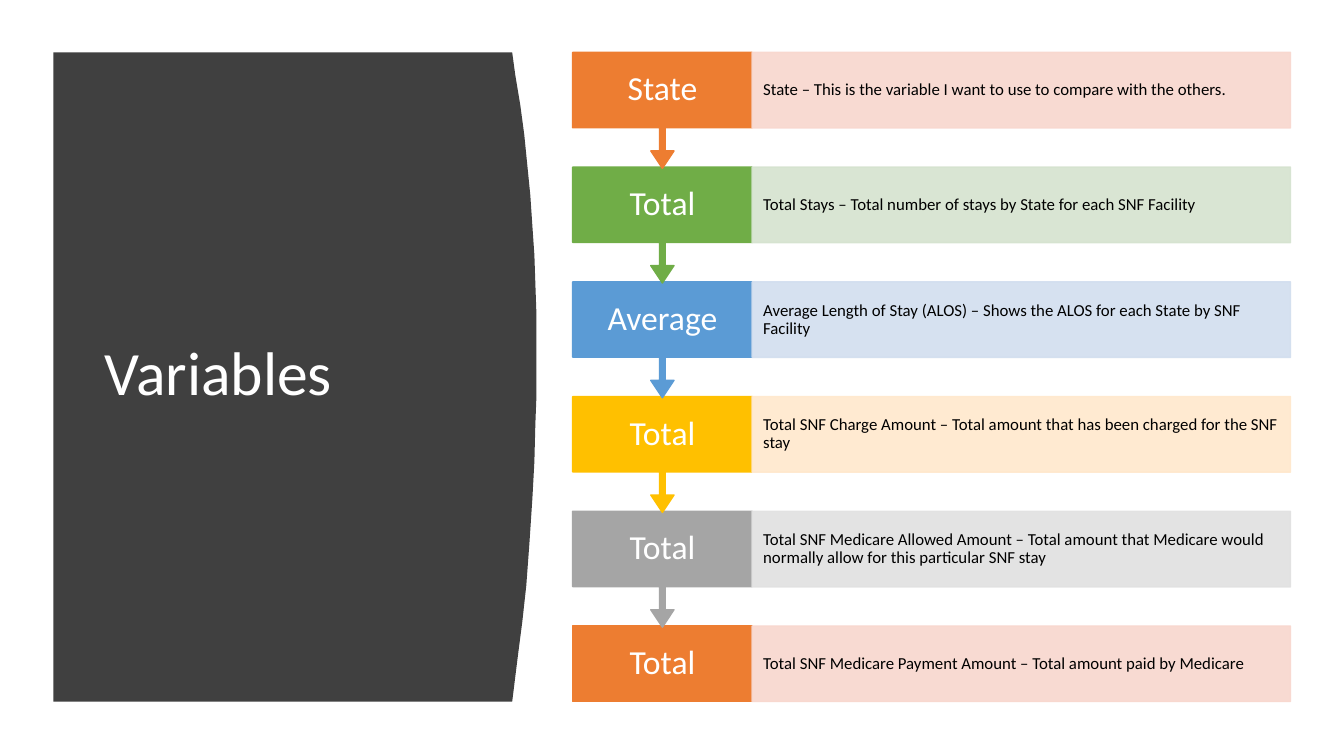
from dataclasses import dataclass

from lxml.etree import SubElement
from pptx import Presentation
from pptx.dml.color import RGBColor
from pptx.enum.shapes import MSO_SHAPE
from pptx.enum.text import MSO_ANCHOR, PP_ALIGN
from pptx.oxml.ns import qn
from pptx.util import Inches, Pt


@dataclass(frozen=True)
class Theme:
    font: str = "Calibri"
    panel: str = "404040"
    light: str = "FFFFFF"
    dark: str = "000000"
    title_size: int = 44
    label_size: int = 24
    description_size: int = 12
    tint_alpha: int = 90000
    orange: tuple = ("ED7D31", "F8D7CE")
    green: tuple = ("70AD47", "D5E3CF")
    blue: tuple = ("5B9BD5", "D2DEEF")
    yellow: tuple = ("FFC000", "FFE8CC")
    gray: tuple = ("A5A5A5", "E1E1E1")


theme = Theme()

TITLE = "Variables"
VARIABLES = [
    ("State", "State – This is the variable I want to use to compare with the others.", theme.orange),
    ("Total", "Total Stays – Total number of stays by State for each SNF Facility", theme.green),
    ("Average", "Average Length of Stay (ALOS) – Shows the ALOS for each State by SNF Facility", theme.blue),
    ("Total", "Total SNF Charge Amount – Total amount that has been charged for the SNF stay", theme.yellow),
    ("Total", "Total SNF Medicare Allowed Amount – Total amount that Medicare would "
     "normally allow for this particular SNF stay", theme.gray),
    ("Total", "Total SNF Medicare Payment Amount – Total amount paid by Medicare", theme.orange),
]

TOP, BOTTOM = 0.52, 6.96
PANEL_LEFT = 0.53
PANEL_EDGE = [
    (5.08, TOP), (5.11, 0.74), (5.16, 1.04), (5.2, 1.34), (5.23, 1.64), (5.26, 1.94),
    (5.28, 2.24), (5.3, 2.53), (5.31, 2.82), (5.32, 3.11), (5.32, 3.53), (5.32, 3.94),
    (5.31, 4.2), (5.3, 4.58), (5.28, 4.95), (5.25, 5.4), (5.22, 5.81), (5.18, 6.17),
    (5.14, 6.48), (5.11, 6.72), (5.08, BOTTOM),
]
LABEL_LEFT, LABEL_WIDTH = 5.68, 1.78
DESCRIPTION_LEFT, DESCRIPTION_WIDTH = LABEL_LEFT + LABEL_WIDTH, 5.34
BOX_HEIGHT, CALLOUT_HEIGHT = 0.75, 1.15
CALLOUT_ADJUSTMENTS = (0.05, 0.1, 0.15, 0.65)
ROW_PITCH = (BOTTOM - TOP - BOX_HEIGHT) / (len(VARIABLES) - 1)


def paint(shape, color, alpha=None):
    shape.shadow.inherit = False
    shape.line.width = Pt(1)
    for fill in (shape.fill, shape.line.fill):
        fill.solid()
        fill.fore_color.rgb = RGBColor.from_string(color)
    if alpha:
        for color_element in list(shape._element.spPr.iter(qn("a:srgbClr"))):
            SubElement(color_element, qn("a:alpha"), val=str(alpha))


def write(shape, text, size, color, alignment=PP_ALIGN.LEFT, insets=(0.1, 0.05)):
    frame = shape.text_frame
    frame.text = text
    frame.word_wrap = True
    frame.vertical_anchor = MSO_ANCHOR.MIDDLE
    frame.margin_left = frame.margin_right = Inches(insets[0])
    frame.margin_top = frame.margin_bottom = Inches(insets[1])
    paragraph = frame.paragraphs[0]
    paragraph.alignment = alignment
    paragraph.line_spacing = 0.9
    font = paragraph.runs[0].font
    font.name = theme.font
    font.size = Pt(size)
    font.color.rgb = RGBColor.from_string(color)


def add_panel(slide):
    points = [(Inches(x), Inches(y)) for x, y in PANEL_EDGE + [(PANEL_LEFT, BOTTOM)]]
    builder = slide.shapes.build_freeform(Inches(PANEL_LEFT), Inches(TOP))
    builder.add_line_segments(points, close=True)
    panel = builder.convert_to_shape()
    paint(panel, theme.panel)
    panel.line.fill.background()
    title = slide.shapes.add_textbox(Inches(0.94), Inches(1.11), Inches(3.74), Inches(5.24))
    write(title, TITLE, theme.title_size, theme.light)


def add_variable(slide, row, label, description, colors):
    top = Inches(TOP + row * ROW_PITCH)
    is_last = row == len(VARIABLES) - 1
    preset = MSO_SHAPE.RECTANGLE if is_last else MSO_SHAPE.DOWN_ARROW_CALLOUT
    height = BOX_HEIGHT if is_last else CALLOUT_HEIGHT
    label_box = slide.shapes.add_shape(
        preset, Inches(LABEL_LEFT), top, Inches(LABEL_WIDTH), Inches(height))
    if not is_last:
        for index, value in enumerate(CALLOUT_ADJUSTMENTS):
            label_box.adjustments[index] = value
    paint(label_box, colors[0])
    write(label_box, label, theme.label_size, theme.light, PP_ALIGN.CENTER, (0.13, 0.19))

    description_box = slide.shapes.add_shape(
        MSO_SHAPE.RECTANGLE, Inches(DESCRIPTION_LEFT), top,
        Inches(DESCRIPTION_WIDTH), Inches(BOX_HEIGHT))
    paint(description_box, colors[1], theme.tint_alpha)
    write(description_box, description, theme.description_size, theme.dark, insets=(0.11, 0.17))


presentation = Presentation()
presentation.slide_width = Inches(13.33)
presentation.slide_height = Inches(7.5)
slide = presentation.slides.add_slide(presentation.slide_layouts[6])
add_panel(slide)
for row, variable in reversed(list(enumerate(VARIABLES))):
    add_variable(slide, row, *variable)
presentation.save("out.pptx")
